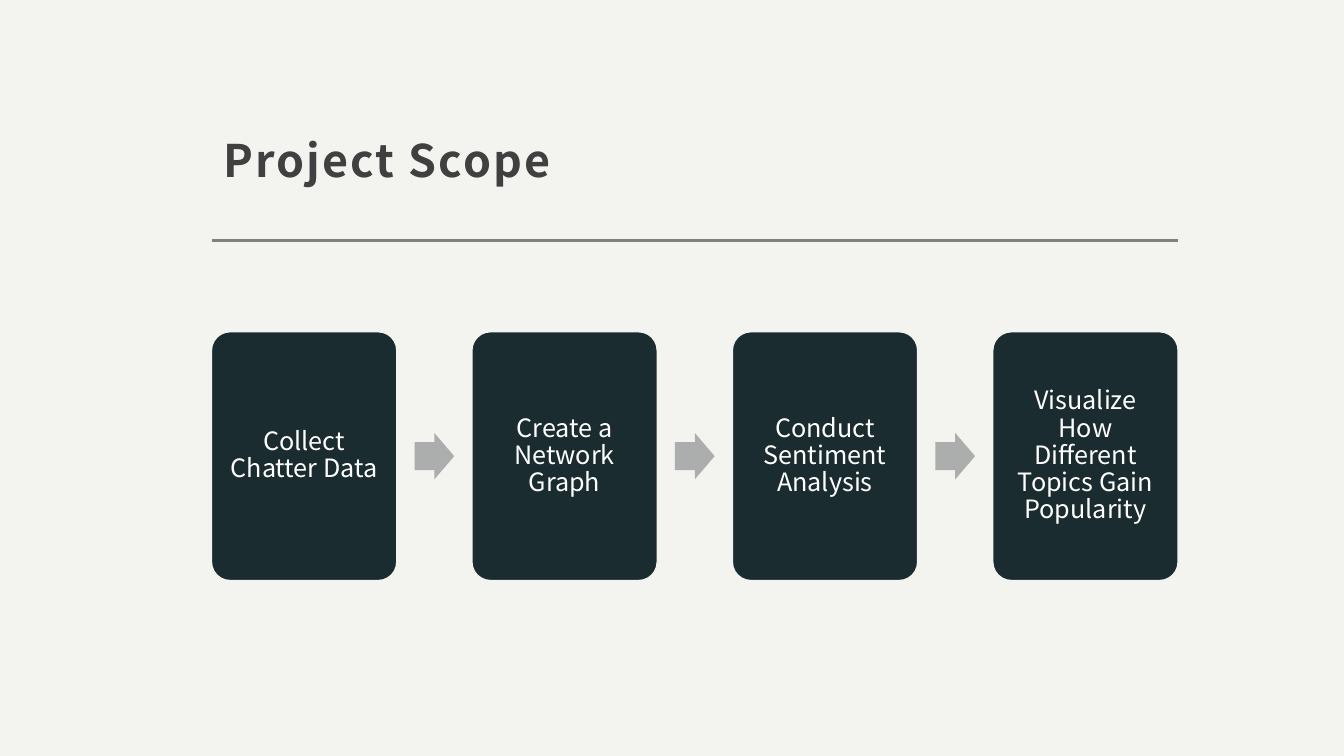
from dataclasses import dataclass

from lxml.etree import SubElement
from pptx import Presentation
from pptx.dml.color import RGBColor
from pptx.enum.shapes import MSO_CONNECTOR, MSO_SHAPE
from pptx.enum.text import MSO_ANCHOR, MSO_AUTO_SIZE, PP_ALIGN
from pptx.oxml.ns import qn
from pptx.util import Cm, Pt

# Content
TITLE = "Project Scope"
STEPS = [
    "Collect Chatter Data",
    "Create a Network Graph",
    "Conduct Sentiment Analysis",
    "Visualize How Different Topics Gain Popularity",
]


@dataclass(frozen=True)
class Theme:
    font: str = "Noto Sans CJK JP"
    back: str = "F3F3F0"
    title: str = "404040"
    rule: str = "808080"
    card: str = "1A2C2F"
    arrow: str = "ACADAD"
    label: str = "FFFFFF"
    title_size: int = 32
    label_size: int = 18


THEME = Theme()

# Layout in centimetres
LEFT, WIDTH = 5.33, 24.36
TITLE_TOP, TITLE_HIGH = 1.22, 3.73
RULE_TOP = 6.05
CARD_TOP, CARD_WIDE, CARD_HIGH = 8.36, 4.67, 6.27
ARROW_WIDE, ARROW_HIGH = 1.0, 1.17
PITCH = (WIDTH - CARD_WIDE) / (len(STEPS) - 1)


def color(code):
    return RGBColor.from_string(code)


def write(shape, text, size, ink, align, anchor, insets, lines,
          bold=False, after=0, track=0):
    """Put one formatted paragraph into a shape."""
    frame = shape.text_frame
    frame.word_wrap = True
    frame.auto_size = MSO_AUTO_SIZE.NONE
    frame.vertical_anchor = anchor
    (frame.margin_left, frame.margin_top,
     frame.margin_right, frame.margin_bottom) = [Cm(gap) for gap in insets]
    para = frame.paragraphs[0]
    para.alignment = align
    para.line_spacing = lines
    para.space_before = Pt(0)
    para.space_after = Pt(after)
    run = para.add_run()
    run.text = text
    font = run.font
    font.name, font.size, font.bold = THEME.font, Pt(size), bold
    font.color.rgb = color(ink)
    if track:
        run._r.get_or_add_rPr().set("spc", str(round(track * 100)))


def block(slide, kind, left, top, wide, high, fill, adjust):
    """Add a flat filled shape without an outline."""
    shape = slide.shapes.add_shape(kind, Cm(left), Cm(top), Cm(wide), Cm(high))
    shape.shadow.inherit = False
    shape.fill.solid()
    shape.fill.fore_color.rgb = color(fill)
    shape.line.fill.background()
    for spot, value in enumerate(adjust):
        shape.adjustments[spot] = value
    return shape


def main():
    deck = Presentation()
    deck.slide_width, deck.slide_height = Cm(33.87), Cm(19.05)
    slide = deck.slides.add_slide(deck.slide_layouts[5])
    slide.background.fill.solid()
    slide.background.fill.fore_color.rgb = color(THEME.back)

    # Title
    title = slide.shapes.title
    title.left, title.top = Cm(LEFT), Cm(TITLE_TOP)
    title.width, title.height = Cm(WIDTH), Cm(TITLE_HIGH)
    write(title, TITLE, THEME.title_size, THEME.title, PP_ALIGN.LEFT,
          MSO_ANCHOR.BOTTOM, (0.3, 0.3, 0.3, 0.25), 1.3, bold=True, track=1.5)

    # Rule under the title
    rule = slide.shapes.add_connector(
        MSO_CONNECTOR.STRAIGHT, Cm(LEFT), Cm(RULE_TOP),
        Cm(LEFT + WIDTH), Cm(RULE_TOP))
    rule.line.color.rgb = color(THEME.rule)
    rule.line.width = Pt(2)
    SubElement(rule._element.spPr, qn("a:effectLst"))

    # Step cards, with an arrow centred in each gap
    for index, step in enumerate(STEPS):
        left = LEFT + index * PITCH
        card = block(slide, MSO_SHAPE.ROUNDED_RECTANGLE, left, CARD_TOP,
                     CARD_WIDE, CARD_HIGH, THEME.card, [0.1])
        card.line.color.rgb = color(THEME.back)
        card.line.width = Pt(1)
        write(card, step, THEME.label_size, THEME.label, PP_ALIGN.CENTER,
              MSO_ANCHOR.MIDDLE, (0.19,) * 4, 0.9, after=6.3)
        if index < len(STEPS) - 1:
            gap = PITCH - CARD_WIDE
            block(slide, MSO_SHAPE.RIGHT_ARROW,
                  left + CARD_WIDE + (gap - ARROW_WIDE) / 2,
                  CARD_TOP + (CARD_HIGH - ARROW_HIGH) / 2,
                  ARROW_WIDE, ARROW_HIGH, THEME.arrow, [0.6, 0.5])

    deck.save("out.pptx")


if __name__ == "__main__":
    main()
